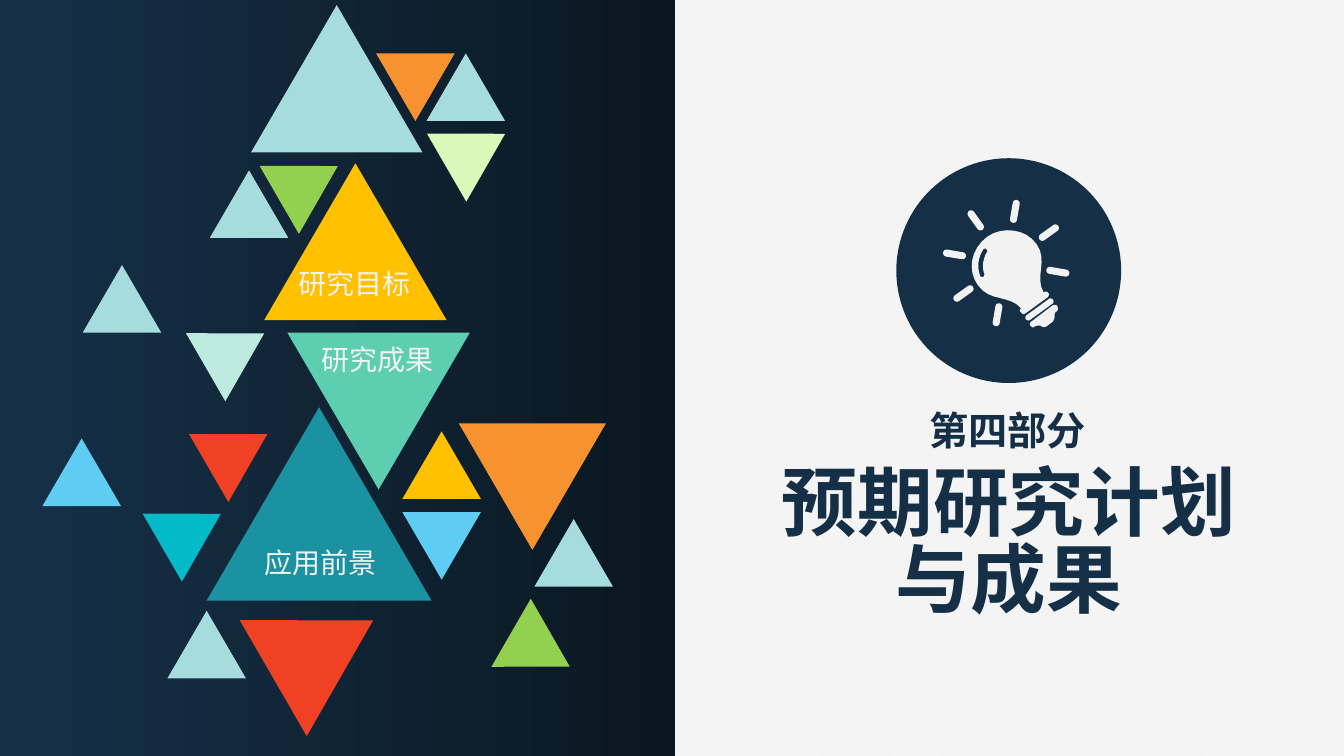
"""Section slide: triangle tree of research topics beside a light bulb and the part title."""
from dataclasses import dataclass
from math import cos, pi, radians, sin

from lxml import etree
from pptx import Presentation
from pptx.dml.color import RGBColor
from pptx.enum import dml, shapes, text
from pptx.oxml import ns
from pptx.util import Inches, Pt

Point = tuple[float, float]


@dataclass(frozen=True)
class Theme:
    font: str = "Noto Sans CJK SC"
    navy: str = "152F47"
    panel_left: str = "163048"
    panel_right: str = "0A1721"
    paper: str = "F2F2F2"
    white: str = "FFFFFF"
    mist: str = "A7DCDE"
    mint: str = "BEEBDF"
    jade: str = "5DCEAF"
    teal: str = "1A92A2"
    cyan: str = "05BAC8"
    sky: str = "5ECCF3"
    green: str = "92D050"
    lime: str = "DCF7BA"
    orange: str = "F69230"
    gold: str = "FFC000"
    red: str = "F14124"
    title_size: int = 54
    part_size: int = 28
    topic_size: int = 20


@dataclass(frozen=True)
class Triangle:
    left: float
    top: float
    color: str
    turn: int = 0
    width: float = 0.78


@dataclass(frozen=True)
class Caption:
    left: float
    top: float
    width: float
    height: float
    lines: tuple[str, ...]
    size: int
    color: str
    bold: bool = False
    align: text.PP_ALIGN = text.PP_ALIGN.LEFT
    spacing: float = 0.9


THEME = Theme()
TRIANGLE_RATIO = 0.86
BULB_CENTER = (9.98, 2.61)
RAY_INNER, RAY_OUTER = 0.44, 0.6
RAY_OFFSET, BASE_RAY = 9.5, 1
UNITS_PER_INCH = 1000

TRIANGLES = (
    Triangle(0.82, 2.63, THEME.mist),
    Triangle(4.23, 0.53, THEME.mist),
    Triangle(1.94, 3.14, THEME.mint, 60),
    Triangle(2.85, 3.3, THEME.jade, 180, 1.81),
    Triangle(2.05, 4.04, THEME.teal, 0, 2.23),
    Triangle(1.66, 6.06, THEME.mist),
    Triangle(0.42, 4.35, THEME.sky),
    Triangle(2.08, 1.69, THEME.mist),
    Triangle(2.67, 1.48, THEME.green, 60),
    Triangle(4.33, 1.16, THEME.lime, 60),
    Triangle(1.51, 4.93, THEME.cyan, 60),
    Triangle(4.55, 4.2, THEME.orange, 180, 1.46),
    Triangle(3.99, 4.28, THEME.gold),
    Triangle(3.99, 5.08, THEME.sky, 180),
    Triangle(1.97, 4.14, THEME.red, 60),
    Triangle(2.54, 5.87, THEME.red, 60, 1.33),
    Triangle(5.3, 5.15, THEME.mist),
    Triangle(2.62, 1.62, THEME.gold, 0, 1.81),
    Triangle(4.97, 6.11, THEME.green, 120),
    Triangle(2.49, 0.05, THEME.mist, 0, 1.7),
    Triangle(3.73, 0.53, THEME.orange, 180),
)

CAPTIONS = (
    Caption(7.63, 4.6, 4.75, 1.92, ("预期研究计划", "与成果"), THEME.title_size,
            THEME.navy, True, text.PP_ALIGN.CENTER, 0.85),
    Caption(9.11, 4.03, 1.77, 0.57, ("第四部分",), THEME.part_size,
            THEME.navy, True, text.PP_ALIGN.CENTER),
    *(Caption(left, top, 1.32, 0.44, (topic,), THEME.topic_size, THEME.paper)
      for left, top, topic in (
          (2.86, 2.63, "研究目标"), (3.09, 3.39, "研究成果"), (2.52, 5.4, "应用前景"))),
)

GLASS = (
    ((10.4, 2.91),), ((10.41, 2.92), (10.4, 2.94), (10.39, 2.95)), ((10.17, 3.11),),
    ((10.15, 3.12), (10.14, 3.12), (10.13, 3.1)), ((10.11, 3.09), (10.11, 3.07), (10.13, 3.06)),
    ((10.01, 2.92), (9.82, 3), (9.7, 2.83)), ((9.59, 2.68), (9.63, 2.47), (9.79, 2.35)),
    ((9.95, 2.24), (10.17, 2.27), (10.28, 2.42)), ((10.4, 2.59), (10.26, 2.74), (10.35, 2.9)),
    ((10.37, 2.89), (10.39, 2.89), (10.4, 2.91)),
)
GLINT = (
    ((9.78, 2.47),), ((9.77, 2.46), (9.75, 2.47), (9.75, 2.48)),
    ((9.7, 2.56), (9.69, 2.65), (9.72, 2.73)), ((9.72, 2.74), (9.73, 2.75), (9.75, 2.75)),
    ((9.76, 2.74), (9.77, 2.72), (9.76, 2.71)), ((9.74, 2.65), (9.75, 2.56), (9.79, 2.5)),
    ((9.8, 2.49), (9.79, 2.48), (9.78, 2.47)),
)
CAP = (
    ((10.44, 3.03),), ((10.23, 3.19),), ((10.21, 3.2), (10.21, 3.23), (10.23, 3.24)),
    ((10.24, 3.25), (10.25, 3.25), (10.26, 3.24)), ((10.28, 3.23), (10.3, 3.23), (10.32, 3.23)),
    ((10.34, 3.25), (10.37, 3.25), (10.39, 3.23)), ((10.43, 3.2),),
    ((10.45, 3.19), (10.46, 3.16), (10.46, 3.14)), ((10.46, 3.12), (10.46, 3.1), (10.48, 3.09)),
    ((10.49, 3.08), (10.5, 3.06), (10.49, 3.05)), ((10.49, 3.02), (10.46, 3.02), (10.44, 3.03)),
)


def rgb(color: str) -> RGBColor:
    return RGBColor.from_string(color)


def trace(segments: tuple[tuple[Point, ...], ...], steps: int = 8) -> list[Point]:
    points: list[Point] = []
    for segment in segments:
        if len(segment) == 1:
            points.append(segment[0])
            continue
        curve = (points[-1], *segment)
        for step in range(1, steps + 1):
            t = step / steps
            weights = ((1 - t) ** 3, 3 * t * (1 - t) ** 2, 3 * t * t * (1 - t), t ** 3)
            points.append((sum(w * x for w, (x, _) in zip(weights, curve)),
                           sum(w * y for w, (_, y) in zip(weights, curve))))
    return points


def rounded_bar(start: Point, end: Point, angle: float, radius: float, steps: int = 8) -> list[Point]:
    turns = [angle - pi / 2 + pi * step / steps for step in range(steps + 1)]
    return [(x + radius * cos(turn + flip), y + radius * sin(turn + flip))
            for (x, y), flip in ((end, 0), (start, pi)) for turn in turns]


def ray(index: int) -> list[Point]:
    angle = radians(RAY_OFFSET + 45 * index)
    x, y = BULB_CENTER
    start, end = ((x + reach * cos(angle), y + reach * sin(angle)) for reach in (RAY_INNER, RAY_OUTER))
    return rounded_bar(start, end, angle, 0.035)


def paint(shape, color: str) -> None:
    shape.shadow.inherit = False
    shape.line.fill.background()
    shape.fill.solid()
    shape.fill.fore_color.rgb = rgb(color)


def draw_backdrop(slide) -> None:
    paper = slide.background.fill
    paper.patterned()
    paper.pattern = dml.MSO_PATTERN.LIGHT_UPWARD_DIAGONAL
    paper.fore_color.rgb, paper.back_color.rgb = rgb(THEME.white), rgb(THEME.paper)
    panel = slide.shapes.add_shape(shapes.MSO_SHAPE.RECTANGLE, 0, 0, Inches(6.69), Inches(7.5))
    paint(panel, THEME.navy)
    panel.fill.gradient()
    panel.fill.gradient_angle = 0
    for stop, color in zip(panel.fill.gradient_stops, (THEME.panel_left, THEME.panel_right)):
        stop.color.rgb = rgb(color)


def draw_bulb(slide) -> None:
    badge = slide.shapes.add_group_shape().shapes
    paint(badge.add_shape(shapes.MSO_SHAPE.OVAL, Inches(8.89), Inches(1.57),
                          Inches(2.23), Inches(2.23)), THEME.navy)
    thread = rounded_bar((10.2, 3.15), (10.42, 2.99), radians(-35.5), 0.03)
    rays = [ray(index) for index in range(8) if index != BASE_RAY]
    outlines = [[(x * UNITS_PER_INCH, y * UNITS_PER_INCH) for x, y in outline]
                for outline in (trace(GLASS), trace(GLINT), trace(CAP), thread, *rays)]
    bulb = badge.build_freeform(*outlines[0][0], scale=Inches(1) / UNITS_PER_INCH)
    for outline in outlines:
        if outline is not outlines[0]:
            bulb.move_to(*outline[0])
        bulb.add_line_segments(outline[1:], close=True)
    paint(bulb.convert_to_shape(), THEME.paper)


def draw_triangle(slide, item: Triangle) -> None:
    triangle = slide.shapes.add_shape(
        shapes.MSO_SHAPE.ISOSCELES_TRIANGLE, Inches(item.left), Inches(item.top),
        Inches(item.width), Inches(item.width * TRIANGLE_RATIO))
    triangle.rotation = item.turn
    paint(triangle, item.color)


def draw_caption(slide, item: Caption) -> None:
    frame = slide.shapes.add_textbox(Inches(item.left), Inches(item.top),
                                     Inches(item.width), Inches(item.height)).text_frame
    frame.word_wrap = False
    frame.auto_size = text.MSO_AUTO_SIZE.SHAPE_TO_FIT_TEXT
    for index, line in enumerate(item.lines):
        paragraph = frame.add_paragraph() if index else frame.paragraphs[0]
        paragraph.alignment, paragraph.line_spacing = item.align, item.spacing
        run = paragraph.add_run()
        run.text = line
        run.font.size, run.font.bold = Pt(item.size), item.bold
        run.font.color.rgb = rgb(item.color)
        run.font.name = THEME.font
        etree.SubElement(run._r.get_or_add_rPr(), ns.qn("a:ea"), typeface=THEME.font)


def main() -> None:
    deck = Presentation()
    deck.slide_width, deck.slide_height = Inches(13.33), Inches(7.5)
    slide = deck.slides.add_slide(deck.slide_layouts[6])
    draw_backdrop(slide)
    draw_bulb(slide)
    for triangle in TRIANGLES:
        draw_triangle(slide, triangle)
    for caption in CAPTIONS:
        draw_caption(slide, caption)
    deck.save("out.pptx")


if __name__ == "__main__":
    main()
